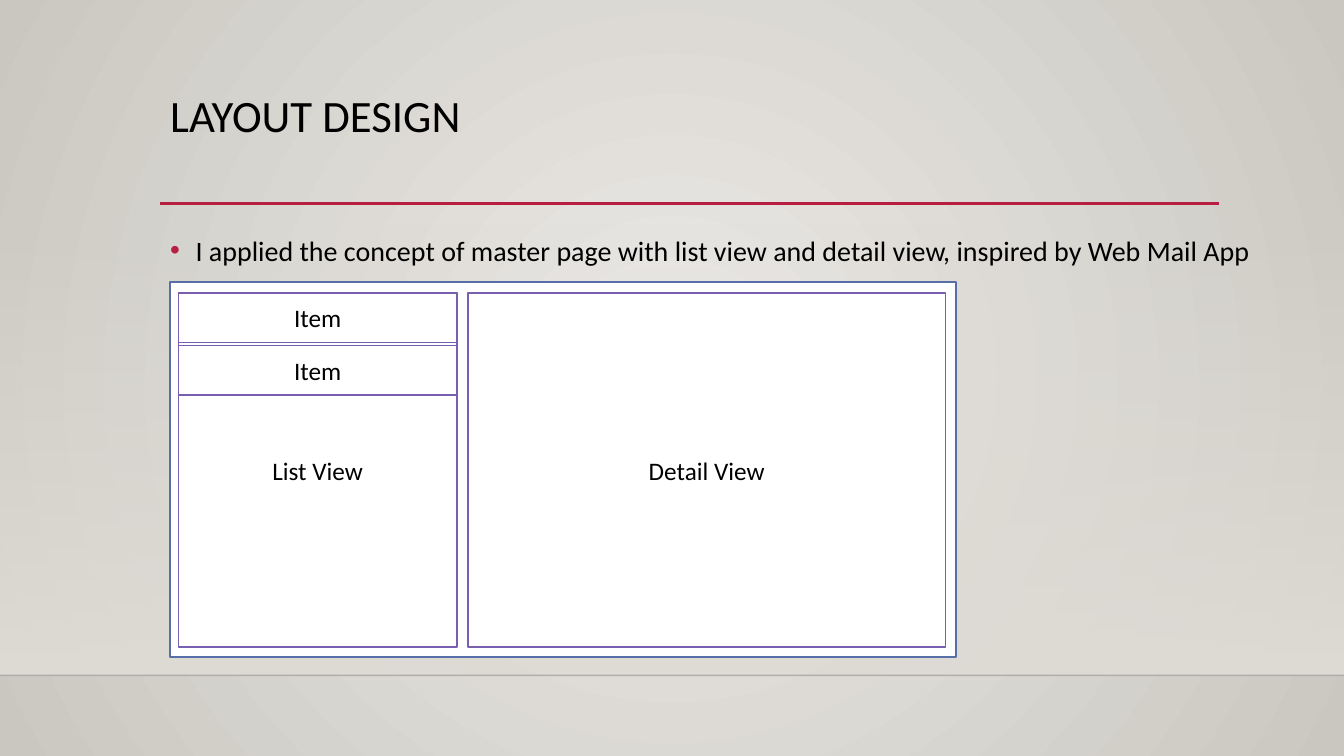
from lxml import etree
from pptx import Presentation
from pptx import util as u
from pptx.dml.color import RGBColor
from pptx.enum import shapes, text
from pptx.oxml import ns

FONT = "Calibri"
BLACK = RGBColor(0x00, 0x00, 0x00)
WHITE = RGBColor(0xFF, 0xFF, 0xFF)
CRIMSON = RGBColor(0xB7, 0x1E, 0x42)
BLUE = RGBColor(0x58, 0x6E, 0xA6)
PURPLE = RGBColor(0x79, 0x5F, 0xAF)
STONE = RGBColor(0xDF, 0xDB, 0xD5)
STONE_LIGHT = RGBColor(0xEC, 0xEA, 0xE7)
STONE_DARK = RGBColor(0xCA, 0xC7, 0xC1)

PAGE_WIDTH, PAGE_HEIGHT = u.Cm(33.87), u.Cm(19.05)
FLOOR = 17.02
PANE_TOP, PANE_HEIGHT = 7.39, 8.92
LIST_LEFT, LIST_WIDTH = 4.5, 7.01
ITEM_HEIGHT, ITEM_PITCH = 1.24, 1.32


def add_child(parent, tag, **attributes):
    return etree.SubElement(parent, ns.qn(tag), attributes)


def set_alpha(color_element, percent):
    add_child(color_element, "a:alpha", val=str(percent * 1000))


def make_gradient(first, last, first_alpha=100):
    """Return a two-stop gradFill that still needs its direction."""
    gradient = etree.Element(ns.qn("a:gradFill"), rotWithShape="1")
    stops = add_child(gradient, "a:gsLst")
    for position, color, alpha in ((0, first, first_alpha), (100, last, 100)):
        stop = add_child(stops, "a:gs", pos=str(position * 1000))
        set_alpha(add_child(stop, "a:srgbClr", val=str(color)), alpha)
    return gradient


def paint_background(page):
    page.background.fill.solid()
    properties = page.element.find(".//" + ns.qn("p:bgPr"))
    gradient = make_gradient(STONE_LIGHT, STONE_DARK)
    circle = add_child(gradient, "a:path", path="circle")
    add_child(circle, "a:fillToRect", l="50000", t="50000", r="50000", b="50000")
    properties.replace(properties.find(ns.qn("a:solidFill")), gradient)


def add_band(page, top, bottom):
    """Full-width strip that fades in from clear at the top."""
    band = page.shapes.add_shape(
        shapes.MSO_SHAPE.RECTANGLE, 0, u.Cm(top), PAGE_WIDTH, u.Cm(bottom - top))
    band.shadow.inherit = False
    band.line.fill.background()
    band.fill.solid()
    gradient = make_gradient(STONE, STONE, first_alpha=0)
    add_child(gradient, "a:lin", ang="5400000", scaled="0")
    properties = band.element.spPr
    properties.replace(properties.find(ns.qn("a:solidFill")), gradient)


def add_rule(page, left, right, y, color, width, alpha=100):
    rule = page.shapes.add_connector(
        shapes.MSO_CONNECTOR.STRAIGHT, left, u.Cm(y), right, u.Cm(y))
    rule.line.color.rgb = color
    rule.line.width = u.Pt(width)
    set_alpha(rule.element.spPr.find(".//" + ns.qn("a:srgbClr")), alpha)
    add_child(rule.element.spPr, "a:effectLst")


def add_span(para, words, size):
    span = para.add_run()
    span.text = words
    span.font.name = FONT
    span.font.size = u.Pt(size)
    span.font.color.rgb = BLACK


def add_text(page, left, top, width, height, words, size, spacing):
    box = page.shapes.add_textbox(u.Cm(left), u.Cm(top), u.Cm(width), u.Cm(height))
    box.text_frame.word_wrap = True
    para = box.text_frame.paragraphs[0]
    para.line_spacing = spacing
    add_span(para, words, size)
    return para


def add_bullet(para, color):
    para.space_before = u.Pt(10)
    properties = para._p.get_or_add_pPr()
    indent = u.Cm(0.64)
    properties.set("marL", str(indent))
    properties.set("indent", str(-indent))
    add_child(add_child(properties, "a:buClr"), "a:srgbClr", val=str(color))
    add_child(properties, "a:buFont", typeface="Arial")
    add_child(properties, "a:buChar", char="•")


def add_pane(page, left, top, width, height, color, label=None):
    pane = page.shapes.add_shape(
        shapes.MSO_SHAPE.RECTANGLE, u.Cm(left), u.Cm(top), u.Cm(width), u.Cm(height))
    pane.shadow.inherit = False
    pane.fill.solid()
    pane.fill.fore_color.rgb = WHITE
    pane.line.color.rgb = color
    pane.line.width = u.Pt(1.25)
    if label:
        pane.text_frame.vertical_anchor = text.MSO_ANCHOR.MIDDLE
        para = pane.text_frame.paragraphs[0]
        para.alignment = text.PP_ALIGN.CENTER
        add_span(para, label, 18)


def main():
    deck = Presentation()
    deck.slide_width, deck.slide_height = PAGE_WIDTH, PAGE_HEIGHT
    page = deck.slides.add_slide(deck.slide_layouts[6])

    paint_background(page)
    add_band(page, 5.61, FLOOR)
    add_rule(page, 0, PAGE_WIDTH, FLOOR, BLACK, 1, alpha=20)
    add_rule(page, u.Cm(4.04), u.Cm(30.73), 5.13, CRIMSON, 2.5)

    add_text(page, 4.04, 2.24, 26.67, 2.92, "LAYOUT DESIGN", 32, 0.9)
    concept = add_text(
        page, 4.04, 5.59, 28.7, 9.58,
        "I applied the concept of master page with list view and detail view, "
        "inspired by Web Mail App", 20, 1.2)
    add_bullet(concept, CRIMSON)

    add_pane(page, 4.29, 7.11, 19.81, 9.45, BLUE)
    add_pane(page, LIST_LEFT, PANE_TOP, LIST_WIDTH, PANE_HEIGHT, PURPLE, "List View")
    add_pane(page, 11.79, PANE_TOP, 12.04, PANE_HEIGHT, PURPLE, "Detail View")
    for row in range(2):
        add_pane(page, LIST_LEFT, PANE_TOP + row * ITEM_PITCH,
                 LIST_WIDTH, ITEM_HEIGHT, PURPLE, "Item")

    deck.save("out.pptx")


if __name__ == "__main__":
    main()
